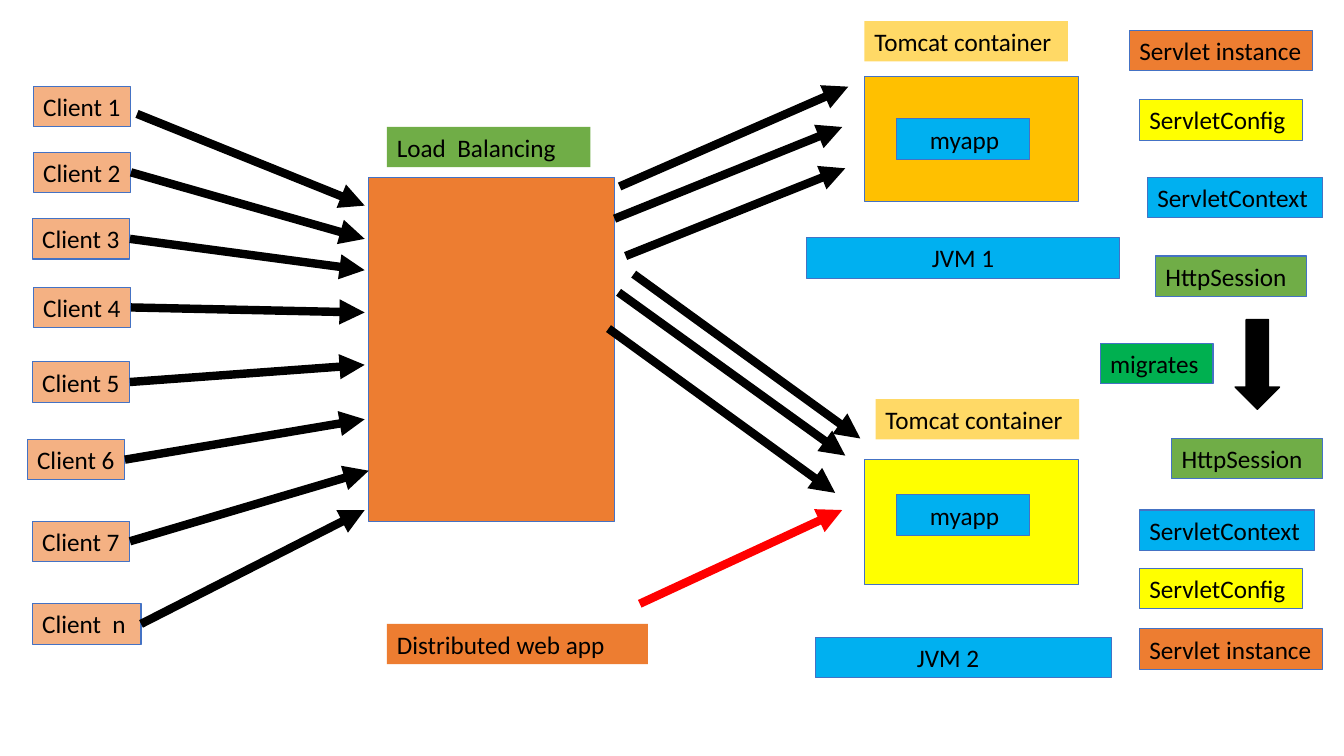
from lxml.etree import SubElement
from pptx import Presentation
from pptx.dml.color import RGBColor
from pptx.enum.shapes import MSO_CONNECTOR, MSO_SHAPE
from pptx.enum.text import MSO_ANCHOR, PP_ALIGN
from pptx.oxml.ns import qn
from pptx.util import Inches, Pt

HUES = {
    "black": "000000", "red": "FF0000", "edge": "4472C4", "blue": "00B0F0",
    "gold": "FFC000", "yellow": "FFFF00", "orange": "ED7D31", "green": "70AD47",
    "mint": "00B050", "peach": "F4B183", "sand": "FFD966",
}
CELL = 0.1
COLS, ROWS = 133.4, 75
HIGH = 4


def grid(*cells):
    return [Inches(cell * CELL) for cell in cells]


def hue(name):
    return RGBColor.from_string(HUES[name])


class Board:
    """Draws boxes and arrows in one style on a grid of tenths of an inch."""

    font = {"name": "Calibri", "size": Pt(18)}
    frame = {
        "word_wrap": True, "vertical_anchor": MSO_ANCHOR.TOP,
        "margin_top": Inches(0.05), "margin_bottom": Inches(0.05),
        "margin_right": Inches(0.05),
    }

    def __init__(self, deck):
        self.slide = deck.slides.add_slide(deck.slide_layouts[6])

    def shape(self, spot, fill, edge="edge", width=0.75, kind=MSO_SHAPE.RECTANGLE):
        item = self.slide.shapes.add_shape(kind, *grid(*spot))
        item.shadow.inherit = False
        item.fill.solid()
        item.fill.fore_color.rgb = hue(fill)
        if edge:
            item.line.color.rgb = hue(edge)
            item.line.width = Pt(width)
        else:
            item.line.fill.background()
        return item

    def label(self, text, left, top, wide, fill, edge="edge", inset=1):
        item = self.shape((left, top, wide, HIGH), fill, edge)
        frame = item.text_frame
        for key, value in self.frame.items():
            setattr(frame, key, value)
        frame.margin_left = grid(inset)[0]
        line = frame.paragraphs[0]
        line.alignment = PP_ALIGN.LEFT
        run = line.add_run()
        run.text = text
        for key, value in self.font.items():
            setattr(run.font, key, value)
        run.font.color.rgb = hue("black")
        return item

    def arrow(self, start, end, color="black", source=None):
        item = self.slide.shapes.add_connector(
            MSO_CONNECTOR.STRAIGHT, *grid(*start, *end))
        if source is not None:
            item.begin_connect(source, 3)
        item.line.color.rgb = hue(color)
        item.line.width = Pt(6)
        SubElement(item.line._get_or_add_ln(), qn("a:tailEnd"), type="triangle")
        SubElement(item._element.spPr, qn("a:effectLst"))


def main():
    deck = Presentation()
    deck.slide_width, deck.slide_height = grid(COLS, ROWS)
    board = Board(deck)

    board.label("JVM 1", 80.1, 23.6, 31, "blue", inset=12.4)
    board.label("JVM 2", 80.9, 63.2, 29.4, "blue", inset=10.1)
    for top, fill, app in ((7.6, "gold", 11.8), (45.6, "yellow", 49.1)):
        board.shape((85.8, top, 21.3, 12.4), fill)
        board.label("myapp", 89, app, 13.2, "blue", inset=3.3)

    parts = {
        "Servlet instance": (18.2, "orange", (112.1, 3), (113.1, 62.4)),
        "ServletConfig": (16.2, "yellow", (113.1, 9.9), (113.1, 56.4)),
        "ServletContext": (17.4, "blue", (113.9, 17.6), (113.1, 50.6)),
        "HttpSession": (15, "green", (114.7, 25.4), (116.3, 43.5)),
    }
    for text, (wide, fill, *spots) in parts.items():
        for left, top in spots:
            board.label(text, left, top, wide, fill)
    board.shape((122.6, 31.7, 4.4, 8.9), "black", "black", 1, MSO_SHAPE.DOWN_ARROW)
    board.label("migrates", 109.2, 34.1, 11.2, "mint")

    board.shape((36.6, 17.6, 24.4, 34.1), "orange")
    board.label("Load  Balancing", 38.4, 12.6, 20.2, "green", None)
    board.label("Distributed web app", 38.4, 61.9, 25.9, "orange", None)
    for left, top in ((85.8, 2.1), (86.9, 39.6)):
        board.label("Tomcat container", left, top, 20.2, "sand", None)

    clients = (
        ("Client 1", 3.3, 8.6, 9.7, (36.2, 20.4)),
        ("Client 2", 3.3, 15.1, 9.7, (36.2, 23.7)),
        ("Client 3", 3.2, 21.7, 9.7, (36.2, 26.8)),
        ("Client 4", 3.3, 28.5, 9.7, (36.2, 31)),
        ("Client 5", 3.2, 35.9, 9.7, (36.2, 36.2)),
        ("Client 6", 2.7, 43.6, 9.7, (36.2, 41.6)),
        ("Client 7", 3.2, 51.7, 9.7, (36.6, 46.7)),
        ("Client  n", 3.2, 59.9, 10.8, (36.2, 50.6)),
    )
    for text, left, top, wide, end in clients:
        client = board.label(text, left, top, wide, "peach")
        if text == "Client 1":
            board.arrow((13.6, 11.3), end)
        else:
            board.arrow((left + wide, top + HIGH / 2), end, source=client)

    board.arrow((63.5, 59.9), (83.6, 50.6), "red")
    routes = (
        ((61, 21.7), (83.6, 12.6)),
        ((62.1, 25.4), (83.9, 16.7)),
        ((61.5, 18.5), (84.2, 8.6)),
        ((61.4, 29), (83.9, 45.2)),
        ((60.4, 32.6), (82.9, 48.9)),
        ((62.9, 27.2), (85.4, 43.5)),
    )
    for start, end in routes:
        board.arrow(start, end)

    deck.save("out.pptx")


if __name__ == "__main__":
    main()
